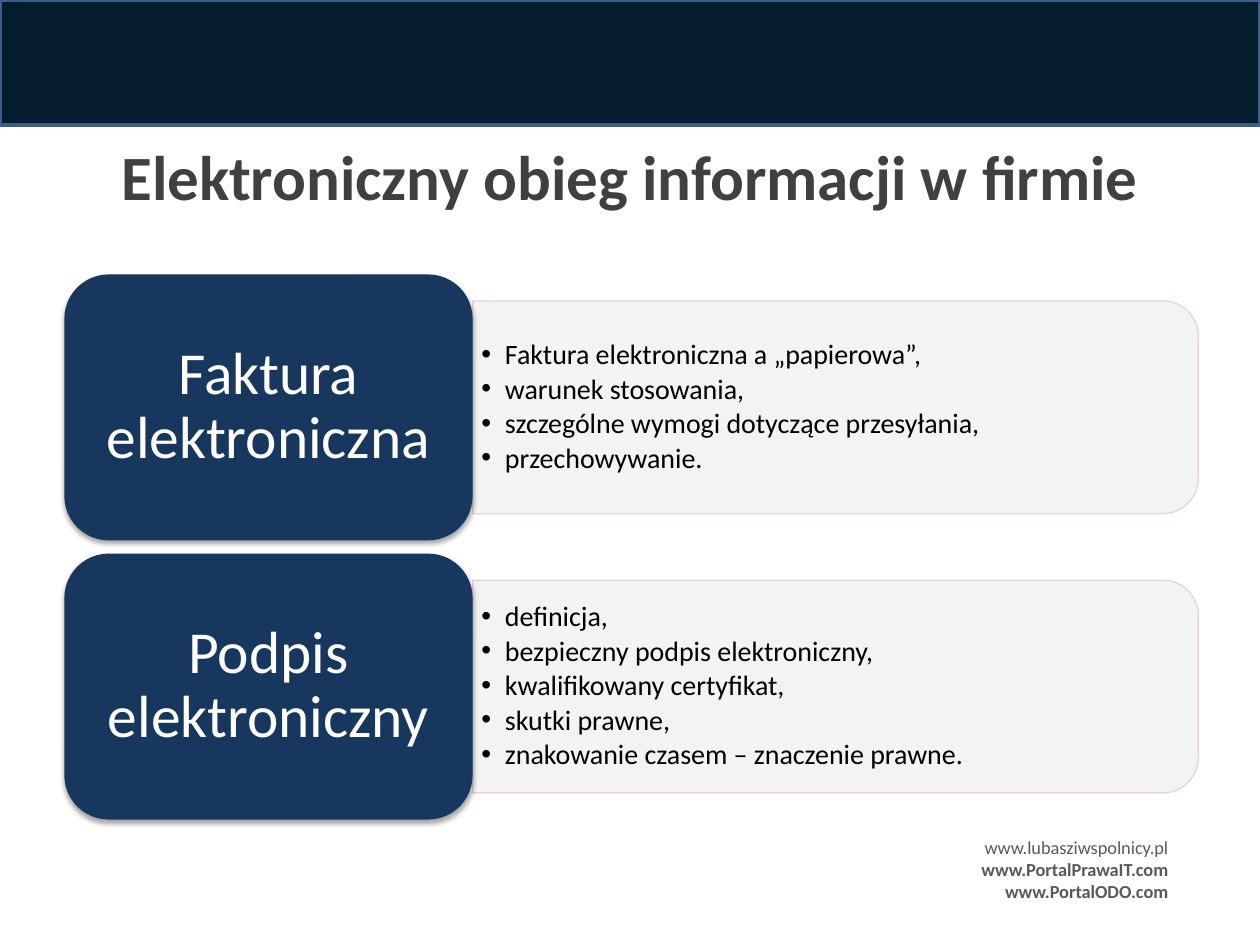
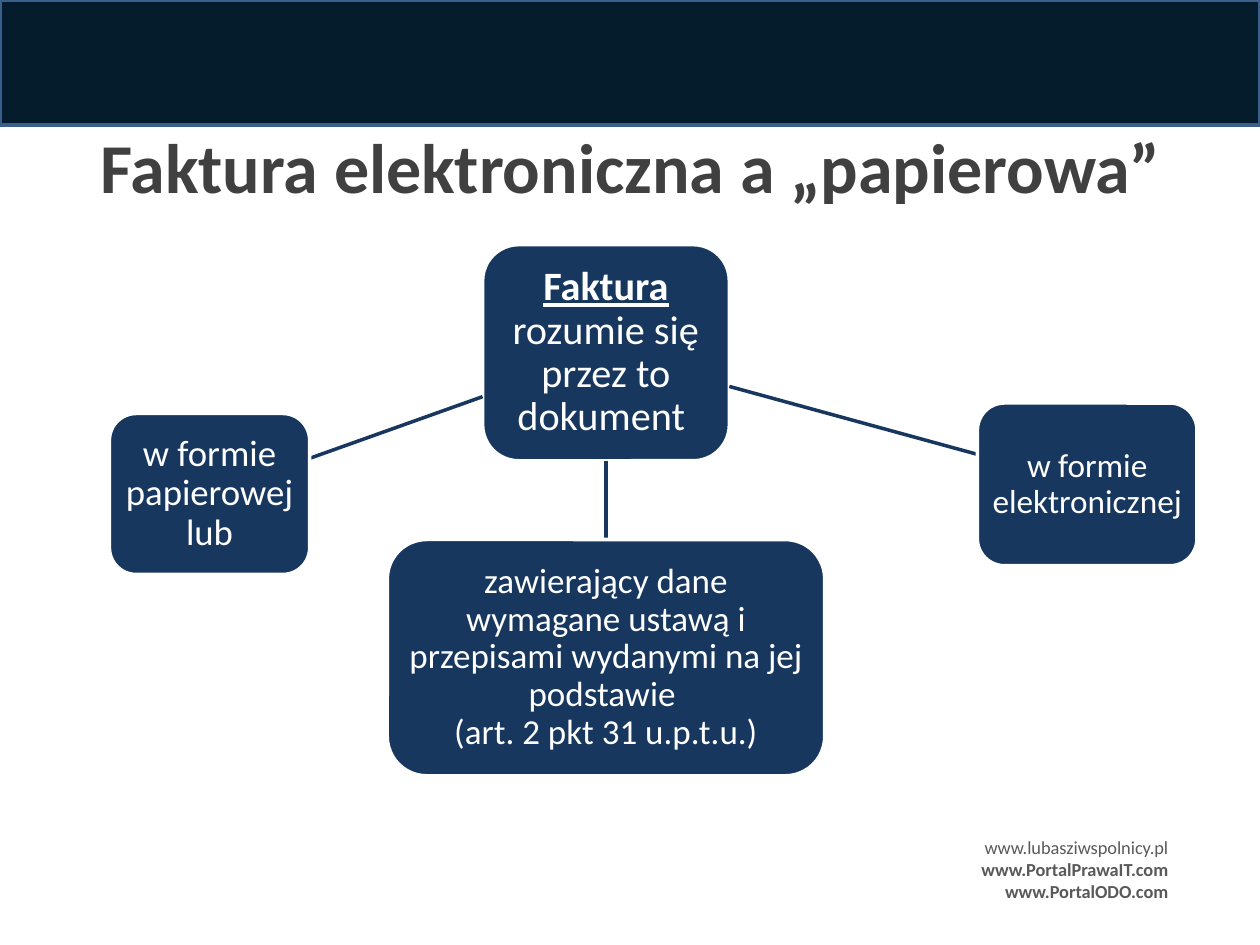
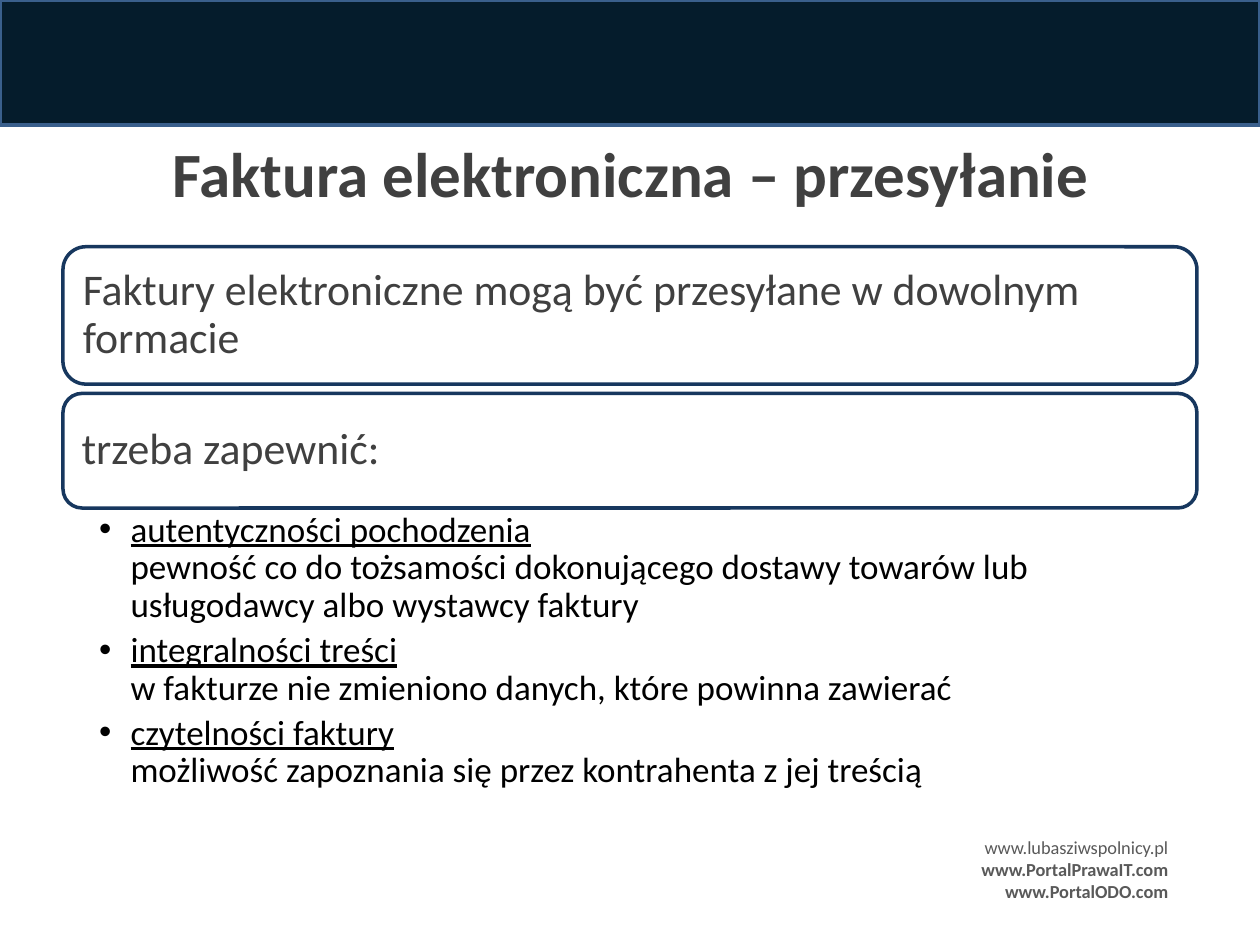
from dataclasses import dataclass

from lxml.etree import SubElement
from pptx import Presentation
from pptx.dml.color import RGBColor
from pptx.enum.shapes import MSO_CONNECTOR, MSO_SHAPE
from pptx.enum.text import MSO_ANCHOR, PP_ALIGN
from pptx.oxml.ns import qn
from pptx.util import Pt


@dataclass(frozen=True)
class Theme:
    """Colours, font and type sizes shared by the slides."""
    font: str = "Calibri"
    band: str = "051C2C"
    band_edge: str = "3A5F8C"
    navy: str = "17375E"
    white: str = "FFFFFF"
    black: str = "000000"
    dark: str = "404040"
    grey: str = "595959"
    panel: str = "F2F2F2"
    panel_edge: str = "E8D0D0"
    title: float = 36
    title_large: float = 40
    tile: float = 34
    statement: float = 25
    root_node: float = 23
    paper_node: float = 21
    content_node: float = 20
    electronic_node: float = 19
    definition: float = 20
    bullet: float = 16
    footer: float = 10.5
    rule: float = 2
    hairline: float = 0.75
    spacing: float = 0.9


THEME = Theme()


@dataclass(frozen=True)
class Box:
    """A rectangle measured in points."""
    left: float
    top: float
    width: float
    height: float

    @property
    def lengths(self):
        """Return the position and size as lengths."""
        return Pt(self.left), Pt(self.top), Pt(self.width), Pt(self.height)

    @property
    def centre(self):
        """Return the centre point."""
        return self.left + self.width / 2, self.top + self.height / 2

    def edge_towards(self, other):
        """Return where the line to another box's centre leaves this box."""
        (x, y), (far_x, far_y) = self.centre, other.centre
        run, rise = far_x - x, far_y - y
        reach = 1 / max(2 * abs(run) / self.width, 2 * abs(rise) / self.height)
        return x + run * reach, y + rise * reach


PAGE = Box(0, 0, 720, 540)


def style_spans(para, size, colour, bold=False):
    """Format every run of a paragraph."""
    for span in para.runs:
        span.font.name = THEME.font
        span.font.size = Pt(size)
        span.font.bold = bold
        span.font.color.rgb = RGBColor.from_string(colour)


def prepare_frame(shape, insets=(7.2, 3.6, 7.2, 3.6), anchor=MSO_ANCHOR.MIDDLE):
    """Set wrapping, margins and anchor, and return the text frame."""
    frame = shape.text_frame
    frame.word_wrap = True
    frame.vertical_anchor = anchor
    frame.margin_left, frame.margin_top, frame.margin_right, frame.margin_bottom = map(Pt, insets)
    return frame


def add_label(shape, text, size, colour, inset, align=PP_ALIGN.CENTER):
    """Write one paragraph inside a shape and return it."""
    para = prepare_frame(shape, [inset] * 4).paragraphs[0]
    para.text = text
    para.alignment = align
    para.line_spacing = THEME.spacing
    style_spans(para, size, colour)
    return para


def add_outline(page, preset, box, fill, line=None, weight=THEME.rule):
    """Add a preset shape with a plain fill and an optional line."""
    shape = page.shapes.add_shape(preset, *box.lengths)
    shape.shadow.inherit = False
    shape.fill.solid()
    shape.fill.fore_color.rgb = RGBColor.from_string(fill)
    if line:
        shape.line.color.rgb = RGBColor.from_string(line)
        shape.line.width = Pt(weight)
    else:
        shape.line.fill.background()
    return shape


def add_bullets(page, box, items, size, gap, indent, insets, anchor):
    """Add a bulleted list and return its paragraphs."""
    frame = prepare_frame(page.shapes.add_textbox(*box.lengths), insets, anchor)
    frame.text = "\n".join(items)
    for para in frame.paragraphs:
        properties = para._p.get_or_add_pPr()
        properties.set("marL", str(Pt(indent)))
        properties.set("indent", str(-Pt(indent)))
        SubElement(properties, qn("a:buFont"), typeface="Arial")
        SubElement(properties, qn("a:buChar"), char="•")
        para.line_spacing = THEME.spacing
        para.space_after = Pt(gap)
        style_spans(para, size, THEME.black)
    return frame.paragraphs


def add_title(page, text, box, size=THEME.title, anchor=MSO_ANCHOR.MIDDLE):
    """Add the slide title."""
    frame = prepare_frame(page.shapes.add_textbox(*box.lengths), anchor=anchor)
    frame.text = text
    frame.paragraphs[0].alignment = PP_ALIGN.CENTER
    style_spans(frame.paragraphs[0], size, THEME.dark, bold=True)


def add_footer(page, box):
    """Add the web addresses at the lower right."""
    frame = prepare_frame(page.shapes.add_textbox(*box.lengths), anchor=MSO_ANCHOR.TOP)
    frame.text = "www.lubasziwspolnicy.pl\nwww.PortalPrawaIT.com www.PortalODO.com"
    for number, para in enumerate(frame.paragraphs):
        para.alignment = PP_ALIGN.RIGHT
        style_spans(para, THEME.footer, THEME.grey, bold=number > 0)


def add_page(deck):
    """Add a blank slide with the top band and the footer."""
    page = deck.slides.add_slide(deck.slide_layouts[6])
    add_outline(page, MSO_SHAPE.RECTANGLE, Box(0, 0, PAGE.width, 71.5), THEME.band, THEME.band_edge)
    add_footer(page, Box(530, 474, 144.7, 45.4))
    return page


def add_tile_shadow(tile):
    """Give a tile a soft shadow below it."""
    effects = tile.element.spPr.find(qn("a:effectLst"))
    shadow = SubElement(effects, qn("a:outerShdw"), blurRad=str(Pt(3.1)), dist=str(Pt(1.8)),
                        dir="5400000", rotWithShape="0")
    colour = SubElement(shadow, qn("a:srgbClr"), val=THEME.black)
    SubElement(colour, qn("a:alpha"), val="35000")


def add_topic_row(page, box, topic, items):
    """Add a topic tile with its panel of bullets."""
    tile_width = box.width * 0.36
    panel = Box(box.left + tile_width, box.top + box.height * 0.1,
                box.width - tile_width, box.height * 0.8)
    x, y = panel.centre
    upright = Box(x - panel.height / 2, y - panel.width / 2, panel.height, panel.width)
    backing = add_outline(page, MSO_SHAPE.ROUND_2_SAME_RECTANGLE, upright,
                          THEME.panel, THEME.panel_edge, THEME.hairline)
    backing.rotation = 90
    for colour in list(backing.element.spPr.iter(qn("a:srgbClr"))):
        SubElement(colour, qn("a:alpha"), val="90000")
    add_bullets(page, panel, items, THEME.bullet, 2.4, 13.5, (5, 2, 5, 2), MSO_ANCHOR.MIDDLE)
    tile = add_outline(page, MSO_SHAPE.ROUNDED_RECTANGLE,
                       Box(box.left, box.top, tile_width, box.height), THEME.navy)
    add_tile_shadow(tile)
    add_label(tile, topic, THEME.tile, THEME.white, 8)


def add_topics(page, box, topics):
    """Stack topic rows with a gap of a twentieth of a row."""
    height = box.height / (len(topics) + 0.05 * (len(topics) - 1))
    for number, (topic, items) in enumerate(topics):
        row = Box(box.left, box.top + number * height * 1.05, box.width, height)
        add_topic_row(page, row, topic, items)


def add_node(page, box, text, size, inset=4.3):
    """Add a diagram node and return its paragraph."""
    node = add_outline(page, MSO_SHAPE.ROUNDED_RECTANGLE, box, THEME.navy, THEME.white)
    return add_label(node, text, size, THEME.white, inset)


def add_link(page, start, end):
    """Join two nodes along the line between their centres."""
    points = start.edge_towards(end) + end.edge_towards(start)
    link = page.shapes.add_connector(MSO_CONNECTOR.STRAIGHT, *map(Pt, points))
    link.line.color.rgb = RGBColor.from_string(THEME.navy)
    link.line.width = Pt(THEME.rule)
    SubElement(link.element.spPr, qn("a:effectLst"))


def add_invoice_diagram(page, box):
    """Add the invoice definition with its three linked parts."""
    def place(left, top, width, height):
        """Return a node box offset from the diagram's corner."""
        return Box(box.left + left, box.top + top, width, height)

    root = place(213, 0, 141, 123.5)
    para = add_node(page, root, "Faktura", THEME.root_node)
    para.add_run().text = " rozumie się przez to dokument "
    style_spans(para, THEME.root_node, THEME.white)
    para.runs[0].font.bold = para.runs[0].font.underline = True
    parts = [
        (place(-0.3, 96.5, 114.5, 92), "w formie papierowej lub", THEME.paper_node, 4.3),
        (place(495.7, 90.5, 125.5, 93), "w formie elektronicznej", THEME.electronic_node, 2),
        (place(158.5, 168.5, 250, 135),
         "zawierający dane wymagane ustawą i przepisami wydanymi na jej podstawie \v"
         "(art. 2 pkt 31 u.p.t.u.)", THEME.content_node, 4.3),
    ]
    for part, text, size, inset in parts:
        add_link(page, root, part)
        add_node(page, part, text, size, inset)


def add_requirements(page, box):
    """Add two framed statements and the list of requirements."""
    statements = [
        (0, 78.5, "Faktury elektroniczne mogą być przesyłane w dowolnym formacie"),
        (83.8, 65.5, "trzeba zapewnić:"),
    ]
    for offset, height, text in statements:
        frame = add_outline(page, MSO_SHAPE.ROUNDED_RECTANGLE,
                            Box(box.left, box.top + offset, box.width, height),
                            THEME.white, THEME.navy)
        add_label(frame, text, THEME.statement, THEME.dark, 7.5, PP_ALIGN.LEFT)
    items = [
        "autentyczności pochodzenia\vpewność co do tożsamości dokonującego dostawy towarów "
        "lub usługodawcy albo wystawcy faktury",
        "integralności treści\vw fakturze nie zmieniono danych, które powinna zawierać",
        "czytelności faktury\vmożliwość zapoznania się przez kontrahenta z jej treścią",
    ]
    area = Box(box.left, box.top + 149.5, box.width, box.height - 149.5)
    for para in add_bullets(page, area, items, THEME.definition, 4, 18,
                            (20.6, 2, 13.7, 2), MSO_ANCHOR.TOP):
        para.runs[0].font.underline = True


def main():
    """Build the three slides and save the deck."""
    deck = Presentation()
    deck.slide_width, deck.slide_height = Pt(PAGE.width), Pt(PAGE.height)

    page = add_page(deck)
    add_title(page, "Elektroniczny obieg informacji w firmie", Box(36, 66.5, 648, 67.5))
    add_topics(page, Box(36.8, 156.8, 648, 311.5), [
        ("Faktura elektroniczna", [
            "Faktura elektroniczna a „papierowa”,",
            "warunek stosowania,",
            "szczególne wymogi dotyczące przesyłania,",
            "przechowywanie.",
        ]),
        ("Podpis elektroniczny", [
            "definicja,",
            "bezpieczny podpis elektroniczny,",
            "kwalifikowany certyfikat,",
            "skutki prawne,",
            "znakowanie czasem – znaczenie prawne.",
        ]),
    ])

    page = add_page(deck)
    add_title(page, "Faktura elektroniczna a „papierowa”", Box(36.5, 60.5, 648, 68),
              THEME.title_large)
    add_invoice_diagram(page, Box(62.8, 139.8, 621.5, 303.5))

    page = add_page(deck)
    add_title(page, "Faktura elektroniczna – przesyłanie", Box(36.5, 44.8, 648, 79),
              anchor=MSO_ANCHOR.BOTTOM)
    add_requirements(page, Box(36, 141, 648, 320.5))

    deck.save("out.pptx")


if __name__ == "__main__":
    main()
